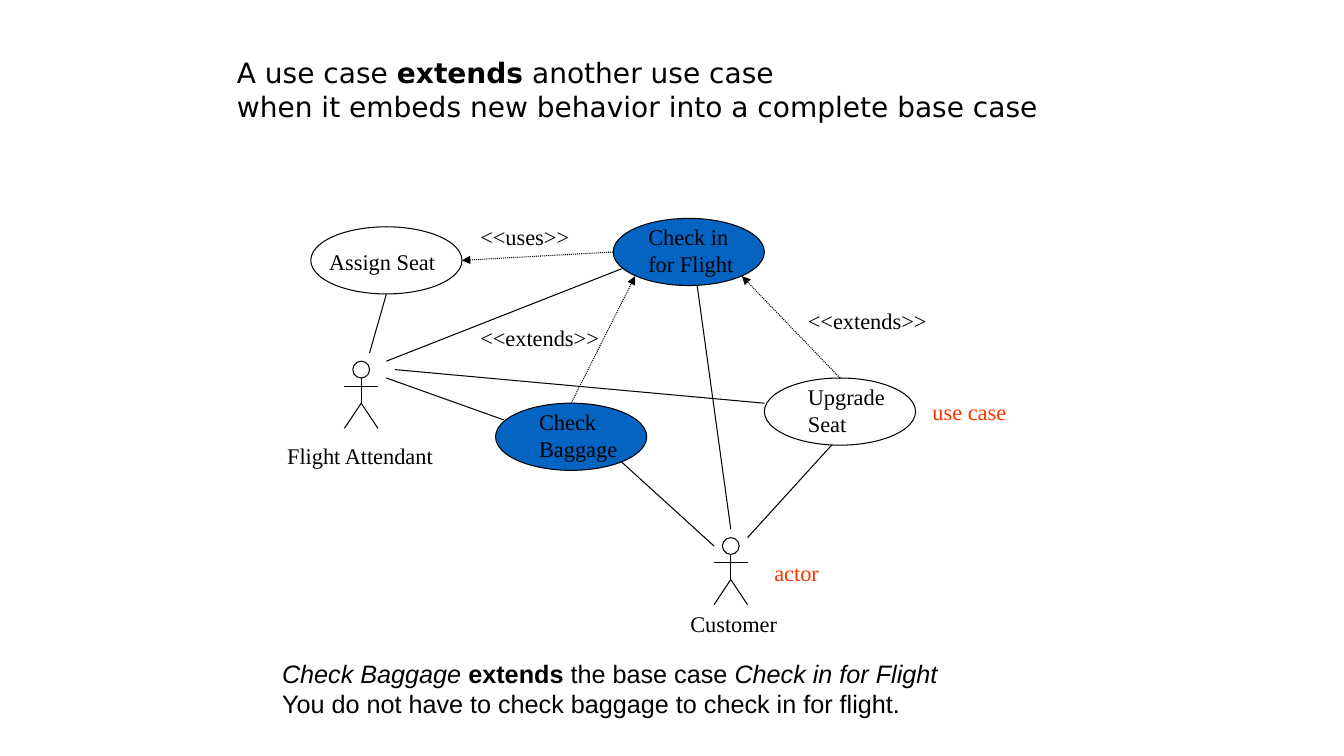
"""Build a use case diagram slide explaining the extends relation."""
from dataclasses import dataclass

from lxml import etree
from pptx import Presentation
from pptx.dml.color import RGBColor
from pptx.enum import dml, shapes, text
from pptx.oxml import ns
from pptx.util import Pt

COLOURS = {"ink": "000000", "highlight": "0563C1", "note": "FF3300"}
OVAL_WIDTH, OVAL_HEIGHT = 108, 48
LINE_WIDTH = 0.75


@dataclass
class UseCase:
    left: float
    top: float
    highlighted: bool = False


@dataclass
class Label:
    lines: list[str]
    left: float
    top: float
    width: float
    colour: str = "ink"


@dataclass
class Link:
    start: tuple[float, float]
    end: tuple[float, float]
    dependency: bool = False


@dataclass
class Actor:
    centre: float
    top: float


@dataclass
class Phrase:
    words: str
    bold: bool = False
    italic: bool = False


USE_CASES = [
    UseCase(222, 162),
    UseCase(438, 156, True),
    UseCase(354, 288, True),
    UseCase(546, 270),
]
ACTORS = [Actor(258, 258), Actor(522, 384)]
LINKS = [
    Link((408, 288), (453.6, 197.3), True),
    Link((600, 270), (530, 197.3), True),
    Link((438, 180), (330, 186), True),
    Link((264, 252), (276, 210)),
    Link((276, 258), (444, 192)),
    Link((276, 270), (360, 300)),
    Link((282, 264), (546, 288)),
    Link((510, 390), (444, 330)),
    Link((522, 378), (498, 204)),
    Link((534, 384), (594, 318)),
]
LABELS = [
    Label(["Assign Seat"], 228, 174, 90.7),
    Label(["Check in", "for Flight"], 456, 156, 75.6),
    Label(["Check", "Baggage"], 378, 288, 70.6),
    Label(["Upgrade", "Seat"], 570, 270, 69.8),
    Label(["<<extends>>"], 336, 228, 99.4),
    Label(["<<extends>>"], 570, 216, 99.4),
    Label(["<<uses>>"], 336, 156, 78.5),
    Label(["Customer"], 486, 432, 77),
    Label(["Flight Attendant"], 198, 312, 120.2),
    Label(["actor"], 546, 396, 46.8, "note"),
    Label(["use case"], 659, 281, 67.7, "note"),
]
TITLE = [
    [Phrase("A use case "), Phrase("extends", bold=True), Phrase(" another use case")],
    [Phrase("when it embeds new behavior into a complete base case")],
]
CAPTION = [
    [
        Phrase("Check Baggage ", italic=True),
        Phrase("extends", bold=True),
        Phrase(" the base case "),
        Phrase("Check in for Flight", italic=True),
    ],
    [Phrase("You do not have to check baggage to check in for flight.")],
]


def colour(name: str) -> RGBColor:
    """Return the named colour."""
    return RGBColor.from_string(COLOURS[name])


def write(frame, paragraphs: list[list[Phrase]], font: str, size: float,
          ink: str = "ink", indent: float = 0) -> None:
    """Fill a text frame with left-aligned paragraphs, run by run."""
    frame.auto_size = text.MSO_AUTO_SIZE.NONE
    frame.vertical_anchor = text.MSO_ANCHOR.TOP
    for index, phrases in enumerate(paragraphs):
        paragraph = frame.add_paragraph() if index else frame.paragraphs[0]
        paragraph.alignment = text.PP_ALIGN.LEFT
        if indent:
            paragraph._p.get_or_add_pPr().set("marL", str(Pt(indent)))
        for phrase in phrases:
            run = paragraph.add_run()
            run.text = phrase.words
            run.font.name, run.font.size = font, Pt(size)
            run.font.bold, run.font.italic = phrase.bold, phrase.italic
            run.font.color.rgb = colour(ink)


def draw_oval(container, left: float, top: float, width: float, height: float,
              fill: str | None = None) -> None:
    """Draw an outlined ellipse, filled when a colour is named."""
    shape = container.add_shape(shapes.MSO_SHAPE.OVAL, Pt(left), Pt(top), Pt(width), Pt(height))
    shape.shadow.inherit = False
    if fill:
        shape.fill.solid()
        shape.fill.fore_color.rgb = colour(fill)
    else:
        shape.fill.background()
    shape.line.color.rgb = colour("ink")
    shape.line.width = Pt(LINE_WIDTH)


def draw_link(container, link: Link) -> None:
    """Draw a plain line, or a dotted arrow for a dependency."""
    connector = container.add_connector(
        shapes.MSO_CONNECTOR.STRAIGHT, *(Pt(value) for value in link.start + link.end))
    connector.line.color.rgb = colour("ink")
    connector.line.width = Pt(LINE_WIDTH)
    if link.dependency:
        connector.line.dash_style = dml.MSO_LINE.ROUND_DOT
        etree.SubElement(connector.line._get_or_add_ln(), ns.qn("a:tailEnd"), type="triangle")
    etree.SubElement(connector._element.spPr, ns.qn("a:effectLst"))


def draw_actor(slide, actor: Actor) -> None:
    """Draw a grouped stick figure."""
    figure = slide.shapes.add_group_shape().shapes
    x, y = actor.centre, actor.top
    draw_oval(figure, x - 6, y, 12, 12)
    hip = (x, y + 30)
    draw_link(figure, Link((x, y + 12), hip))
    draw_link(figure, Link((x - 12, y + 18), (x + 12, y + 18)))
    for side in (-12, 12):
        draw_link(figure, Link(hip, (x + side, y + 48)))


def draw_label(slide, label: Label) -> None:
    """Draw an unwrapped diagram label."""
    height = 7.2 + 19.4 * len(label.lines)
    shape = slide.shapes.add_textbox(Pt(label.left), Pt(label.top), Pt(label.width), Pt(height))
    shape.text_frame.word_wrap = False
    write(shape.text_frame, [[Phrase(line)] for line in label.lines],
          "Times New Roman", 16, label.colour)


def main() -> None:
    """Assemble and save the slide."""
    presentation = Presentation()
    presentation.slide_width, presentation.slide_height = Pt(960), Pt(540)
    slide = presentation.slides.add_slide(presentation.slide_layouts.get_by_name("Title Only"))
    title = slide.shapes.title
    title.left, title.top, title.width, title.height = Pt(162), Pt(36), Pt(589.7), Pt(55.4)
    title.text_frame.word_wrap = False
    write(title.text_frame, TITLE, "DejaVu Sans", 20)
    for case in USE_CASES:
        draw_oval(slide.shapes, case.left, case.top, OVAL_WIDTH, OVAL_HEIGHT,
                  "highlight" if case.highlighted else None)
    for link in LINKS:
        draw_link(slide.shapes, link)
    for actor in ACTORS:
        draw_actor(slide, actor)
    for label in LABELS:
        draw_label(slide, label)
    caption = slide.shapes.add_textbox(Pt(158.4), Pt(466.6), Pt(518.4), Pt(50.4))
    caption.text_frame.word_wrap = False
    write(caption.text_frame, CAPTION, "Arial", 18, indent=36)
    presentation.save("out.pptx")


if __name__ == "__main__":
    main()
